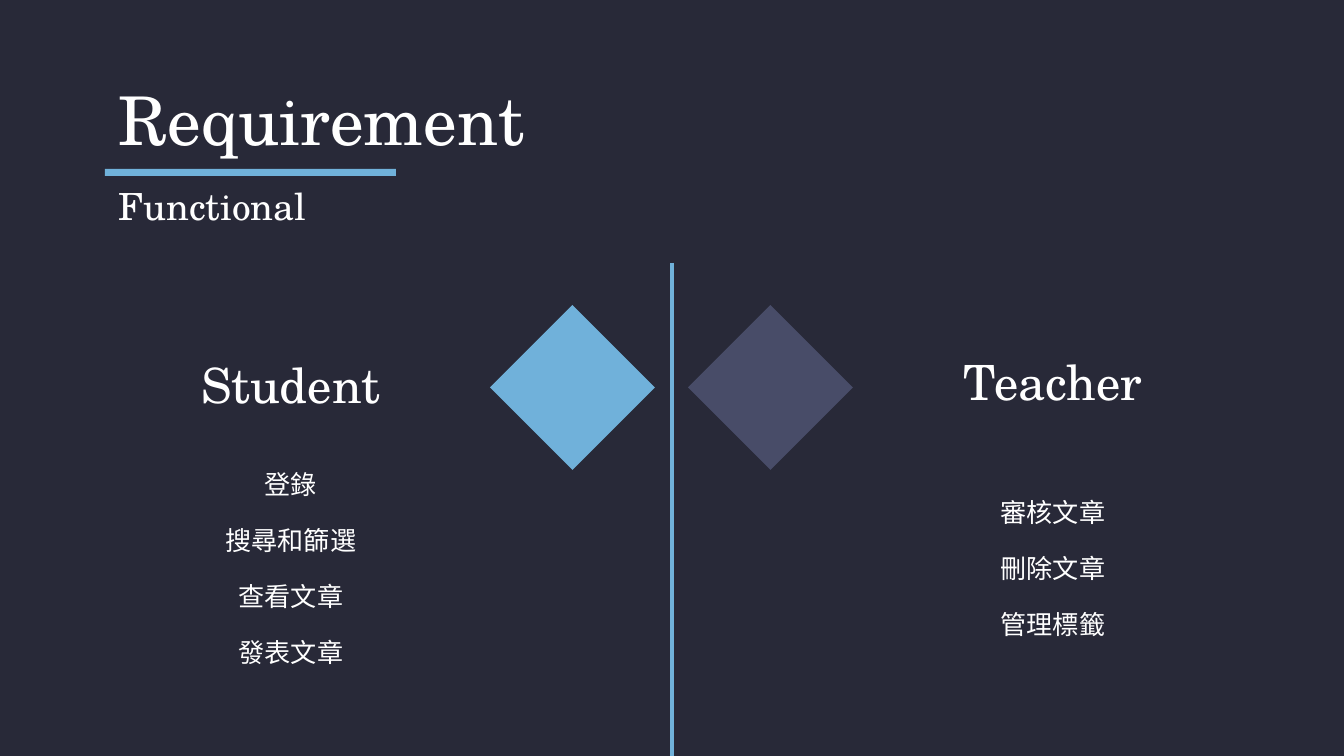
from typing import NamedTuple

from pptx import Presentation
from pptx import util as u
from pptx.dml.color import RGBColor
from pptx.enum import shapes, text
from pptx.oxml.ns import qn

SLIDE_W, SLIDE_H = 1344, 756
SCALE = 9144000 / SLIDE_W  # EMU per px
COLORS = {"bg": "282938", "blue": "70B1DA", "violet": "484C68", "white": "FFFFFF"}
SERIF, CJK = "TeX Gyre Schola", "Noto Sans CJK SC"
MARGIN, COLUMN_W = 105, 372
LIST_TOP, LIST_H = 460, 216
DIAMOND_TOP, DIAMOND_SIZE = 305, 165


class Role(NamedTuple):
    name: str
    tasks: list[str]
    left: int
    heading_h: int
    diamond_left: int
    color: str


ROLES = [
    Role("Student", ["登錄", "搜尋和篩選", "查看文章", "發表文章"], MARGIN, 89, 490, "blue"),
    Role("Teacher", ["審核文章", "刪除文章", "管理標籤"], 867, 82, 688, "violet"),
]


def px(n: int) -> u.Emu:
    return u.Emu(round(n * SCALE))


def rgb(name: str) -> RGBColor:
    return RGBColor.from_string(COLORS[name])


def place(sp, left: int, top: int, width: int, height: int) -> None:
    sp.left, sp.top, sp.width, sp.height = map(px, (left, top, width, height))


def write(sp, lines: list[str], size: int, font: str = SERIF,
          align=text.PP_ALIGN.LEFT, gap: float = 0) -> None:
    tf = sp.text_frame
    tf.text = "\n".join(lines)
    tf.word_wrap = True
    tf.auto_size = text.MSO_AUTO_SIZE.NONE
    tf.vertical_anchor = text.MSO_ANCHOR.MIDDLE
    tf.margin_left = tf.margin_right = tf.margin_top = tf.margin_bottom = u.Inches(0.1)
    for i, p in enumerate(tf.paragraphs):
        p.alignment = align
        p.space_before = u.Pt(gap if i else 0)
        for r in p.runs:
            r.font.size, r.font.name = u.Pt(size), font
            r.font.color.rgb = rgb("white")
            ea = r.font._element.makeelement(qn("a:ea"), {"typeface": font})
            r.font._element.find(qn("a:latin")).addnext(ea)


def add_text(s, box: tuple[int, int, int, int], lines: list[str], size: int, **style) -> None:
    write(s.shapes.add_textbox(*map(px, box)), lines, size, **style)


def add_filled(s, kind, box: tuple[int, int, int, int], color: str) -> None:
    sp = s.shapes.add_shape(kind, *map(px, box))
    sp.shadow.inherit = False
    sp.fill.solid()
    sp.fill.fore_color.rgb = rgb(color)
    sp.line.fill.background()


def add_divider(s, x: int, top: int, bottom: int) -> None:
    line = s.shapes.add_connector(shapes.MSO_CONNECTOR.STRAIGHT, px(x), px(top), px(x), px(bottom))
    line.line.color.rgb = rgb("blue")
    line.line.width = u.Pt(2.25)
    sp_pr = line._element.spPr
    sp_pr.append(sp_pr.makeelement(qn("a:effectLst"), {}))


def add_role(s, role: Role) -> None:
    center = text.PP_ALIGN.CENTER
    add_text(s, (role.left, LIST_TOP, COLUMN_W, LIST_H), role.tasks, 14,
             font=CJK, align=center, gap=13.2)
    add_text(s, (role.left, 340, COLUMN_W, role.heading_h), [role.name], 26, align=center)
    add_filled(s, shapes.MSO_SHAPE.DIAMOND,
               (role.diamond_left, DIAMOND_TOP, DIAMOND_SIZE, DIAMOND_SIZE), role.color)


def main() -> None:
    prs = Presentation()
    prs.slide_width, prs.slide_height = px(SLIDE_W), px(SLIDE_H)
    s = prs.slides.add_slide(prs.slide_layouts[5])
    s.background.fill.solid()
    s.background.fill.fore_color.rgb = rgb("bg")

    # Title, underline and subtitle
    add_filled(s, shapes.MSO_SHAPE.RECTANGLE, (MARGIN, 169, 291, 7), "blue")
    place(s.shapes.title, MARGIN, 79, 1134, 79)
    write(s.shapes.title, ["Requirement"], 36)
    add_text(s, (MARGIN, 176, 223, 59), ["Functional"], 20)

    # Two roles on either side of the divider
    add_divider(s, SLIDE_W // 2, 263, SLIDE_H)
    for role in ROLES:
        add_role(s, role)

    prs.save("out.pptx")


if __name__ == "__main__":
    main()
